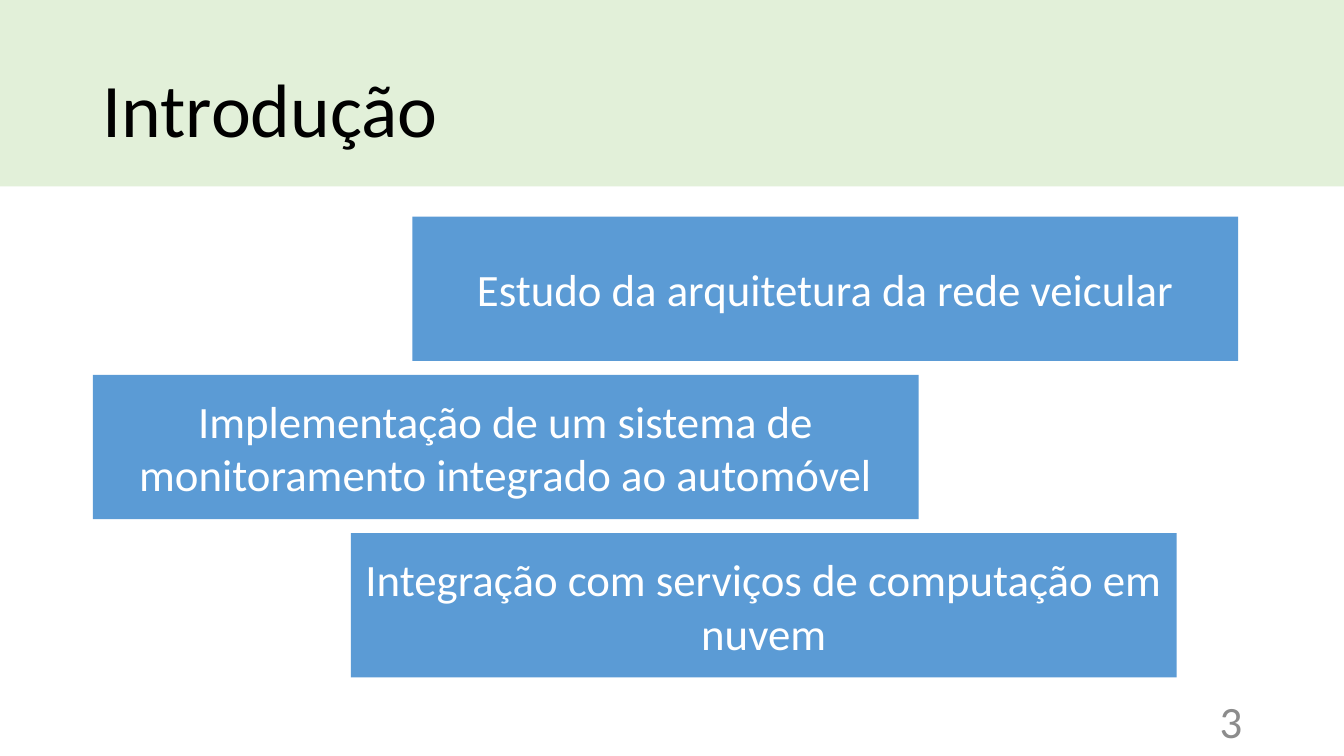
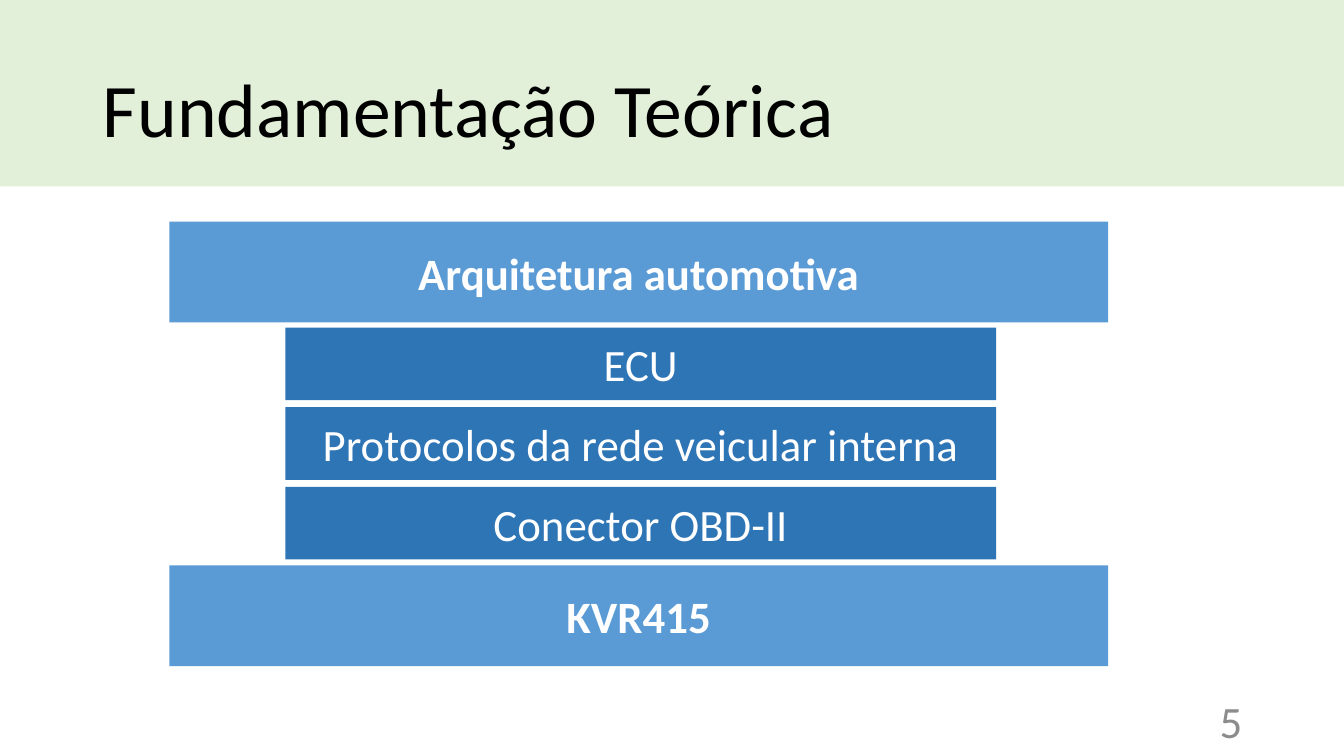
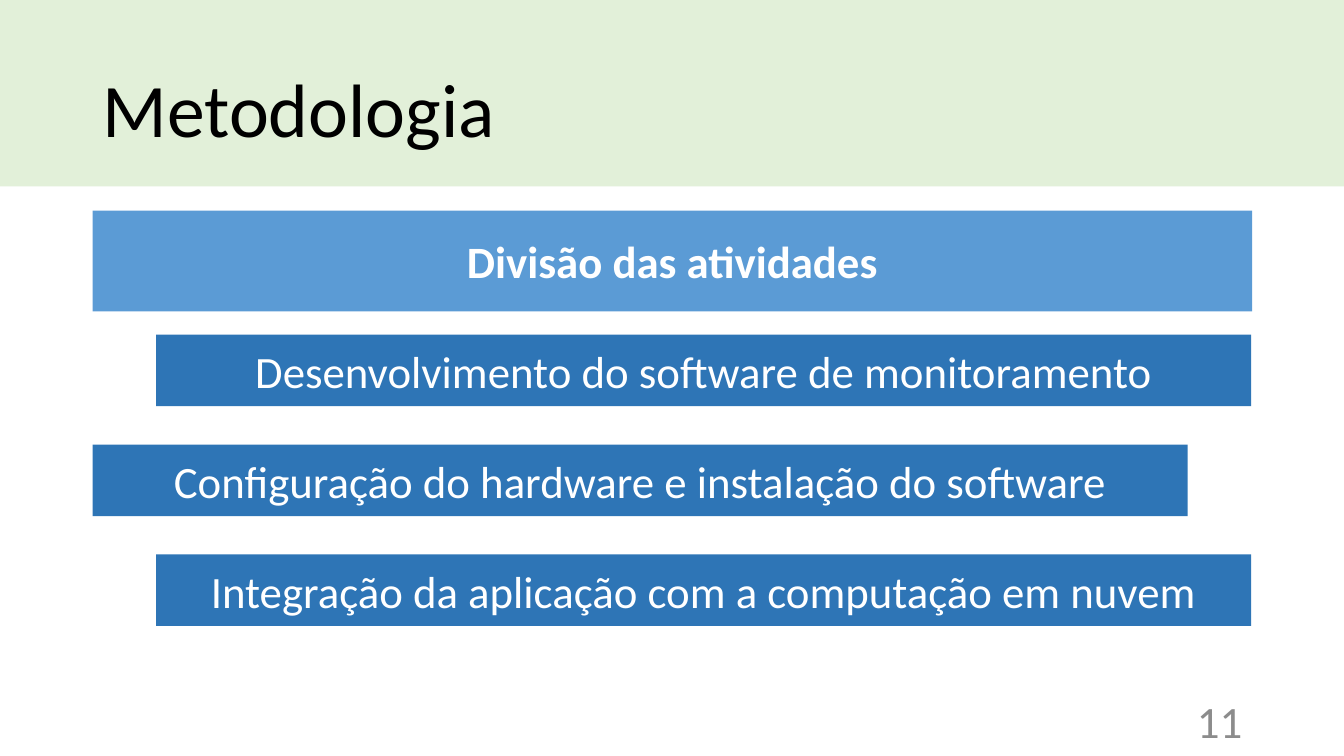
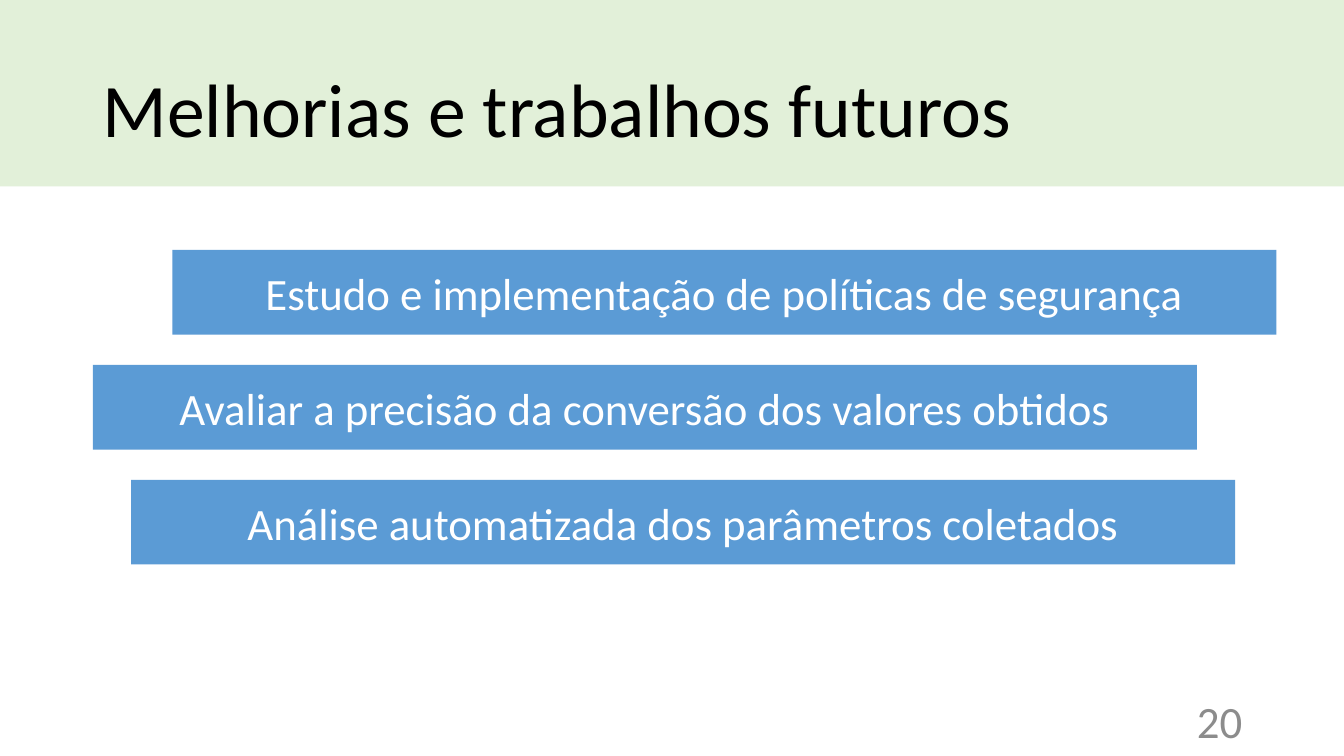
from pptx import Presentation
from pptx.dml.color import RGBColor
from pptx.enum.shapes import MSO_SHAPE
from pptx.enum.text import MSO_ANCHOR, PP_ALIGN
from pptx.util import Inches, Pt

RECTANGLE = MSO_SHAPE.RECTANGLE
MIDDLE = MSO_ANCHOR.MIDDLE
LEFT, CENTER, RIGHT = PP_ALIGN.LEFT, PP_ALIGN.CENTER, PP_ALIGN.RIGHT

# Shared look
FONT = "Calibri"
TITLE_SIZE, BODY_SIZE = 54, 32
PALE_GREEN = RGBColor(0xE2, 0xF0, 0xD9)
BLUE = RGBColor(0x5B, 0x9B, 0xD5)
DARK_BLUE = RGBColor(0x2E, 0x75, 0xB6)
BLACK = RGBColor(0x00, 0x00, 0x00)
WHITE = RGBColor(0xFF, 0xFF, 0xFF)
GRAY = RGBColor(0x8C, 0x8C, 0x8C)

# Shared geometry, in inches
PAGE_WIDTH, PAGE_HEIGHT = 13.33, 7.5
BAND_HEIGHT = 1.85
MARGIN = 0.92
CONTENT_WIDTH = 11.5
INDENT = 1.55

# Each stack of bars: fill, bold, bar width and height, first top, step,
# then one (left, text) pair for each bar
PAGES = [
    {"title": "Introdução", "number": 3, "stacks": [
        (BLUE, False, 8.19, 1.43, 2.15, 1.57, [
            (4.09, "Estudo da arquitetura da rede veicular"),
            (MARGIN, "Implementação de um sistema de monitoramento integrado ao automóvel"),
            (3.48, "Integração com serviços de computação em nuvem"),
        ]),
    ]},
    {"title": "Fundamentação Teórica", "number": 5, "stacks": [
        (BLUE, True, 9.31, 1, 2.2, 3.41, [
            (1.68, "Arquitetura automotiva"),
            (1.68, "KVR415"),
        ]),
        (DARK_BLUE, False, 7.05, 0.72, 3.25, 0.79, [
            (2.83, "ECU"),
            (2.83, "Protocolos da rede veicular interna"),
            (2.83, "Conector OBD-II"),
        ]),
    ]},
    {"title": "Metodologia", "number": 11, "stacks": [
        (BLUE, True, CONTENT_WIDTH, 1, 2.09, 0, [
            (MARGIN, "Divisão das atividades"),
        ]),
        (DARK_BLUE, False, 10.86, 0.71, 3.32, 1.09, [
            (INDENT, "Desenvolvimento do software de monitoramento"),
            (MARGIN, "Configuração do hardware e instalação do software"),
            (INDENT, "Integração da aplicação com a computação em nuvem"),
        ]),
    ]},
    {"title": "Melhorias e trabalhos futuros", "number": 20, "stacks": [
        (BLUE, False, 10.95, 0.84, 2.48, 1.14, [
            (1.71, "Estudo e implementação de políticas de segurança"),
            (MARGIN, "Avaliar a precisão da conversão dos valores obtidos"),
            (1.3, "Análise automatizada dos parâmetros coletados"),
        ]),
    ]},
]


def write(box, text, size, color, align, bold=False, line_spacing=None):
    """Put one vertically centred paragraph in a box."""
    frame = box.text_frame
    frame.word_wrap = True
    frame.vertical_anchor = MIDDLE
    para = frame.paragraphs[0]
    para.alignment = align
    para.line_spacing = line_spacing
    span = para.add_run()
    span.text = text
    span.font.name = FONT
    span.font.size = Pt(size)
    span.font.bold = bold
    span.font.color.rgb = color


def add_rectangle(page, left, top, width, height, fill):
    box = page.shapes.add_shape(
        RECTANGLE, Inches(left), Inches(top), Inches(width), Inches(height))
    box.shadow.inherit = False
    box.fill.solid()
    box.fill.fore_color.rgb = fill
    box.line.fill.background()
    return box


def add_text_box(page, left, top, width, height):
    return page.shapes.add_textbox(
        Inches(left), Inches(top), Inches(width), Inches(height))


def add_frame(page, title, number):
    """Add the title band, the title and the page number."""
    add_rectangle(page, 0, 0, PAGE_WIDTH, BAND_HEIGHT, PALE_GREEN)
    title_box = add_text_box(page, MARGIN, 0.4, CONTENT_WIDTH, 1.45)
    write(title_box, title, TITLE_SIZE, BLACK, LEFT, line_spacing=0.9)
    number_box = add_text_box(page, 9.42, 6.95, 3, 0.4)
    write(number_box, str(number), BODY_SIZE, GRAY, RIGHT)


def add_stack(page, fill, bold, width, height, first_top, step, bars):
    for index, (left, text) in enumerate(bars):
        bar = add_rectangle(page, left, first_top + index * step, width, height, fill)
        write(bar, text, BODY_SIZE, WHITE, CENTER, bold)


def main():
    deck = Presentation()
    deck.slide_width = Inches(PAGE_WIDTH)
    deck.slide_height = Inches(PAGE_HEIGHT)
    blank = deck.slide_layouts[6]
    for content in PAGES:
        page = deck.slides.add_slide(blank)
        add_frame(page, content["title"], content["number"])
        for stack in content["stacks"]:
            add_stack(page, *stack)
    deck.save("out.pptx")


if __name__ == "__main__":
    main()
